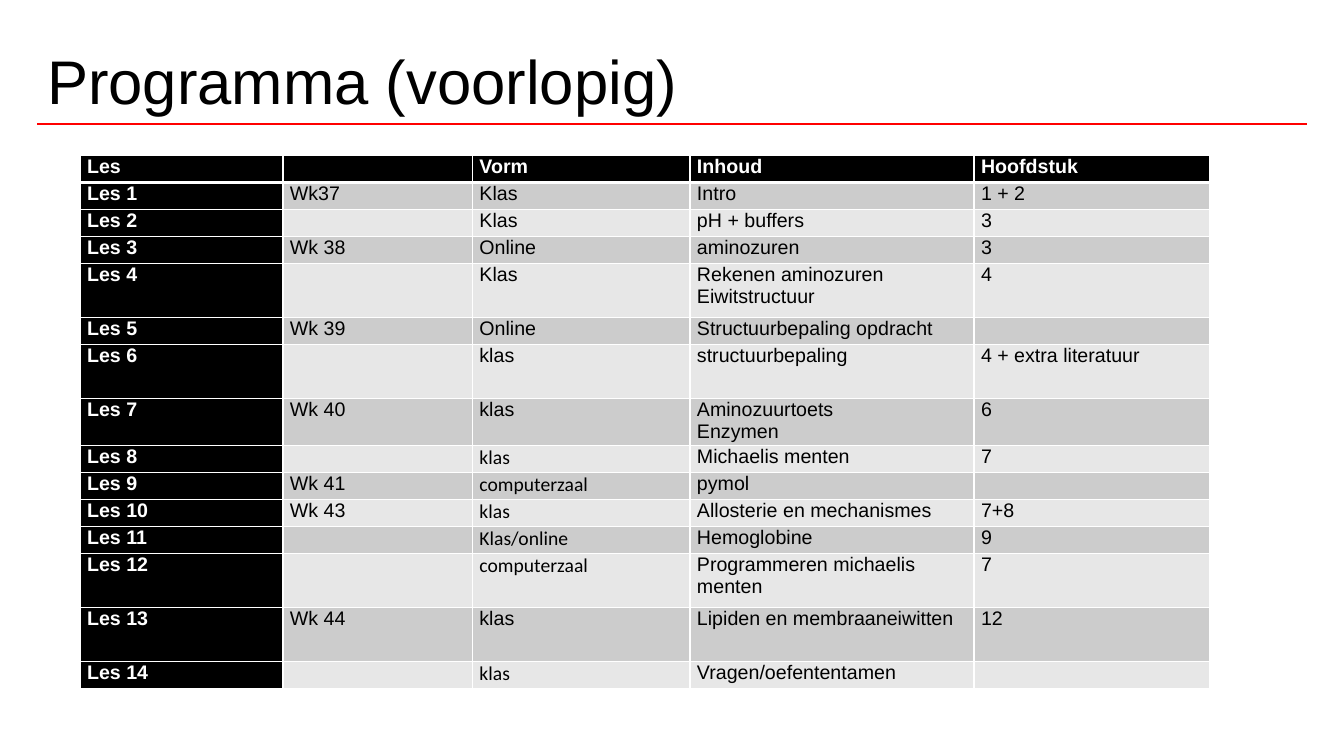
from dataclasses import dataclass

from lxml.etree import SubElement
from pptx import Presentation
from pptx.dml.color import RGBColor as Color
from pptx.enum.shapes import MSO_CONNECTOR as Connector
from pptx.enum.text import MSO_ANCHOR as Anchor
from pptx.oxml.ns import qn
from pptx.util import Pt


@dataclass(frozen=True)
class Theme:
    """Colours, fonts and sizes of the slide."""
    black: str = "000000"
    white: str = "FFFFFF"
    rule: str = "FF0000"
    bands: tuple = ("E7E7E7", "CCCCCC")
    font: str = "Arial"
    alternate_font: str = "Calibri"
    title_size: int = 44
    table_size: int = 14
    border: float = 1
    header_border: float = 3


THEME = Theme()
TITLE_BOX = (26.64, 25.92, 907.2, 62.64)
TABLE_BOX = (57.2, 111, 807.1, 369)
COLUMNS = (144.9, 135.4, 155.4, 202.9, 168.5)
ROW_HEIGHT = 19.3
TALL_LESSONS = {4, 6, 12, 13}
ALTERNATE_FONT_LESSONS = {8, 9, 10, 11, 12, 14}
HEADER = ("Les", "", "Vorm", "Inhoud", "Hoofdstuk")
LESSONS = (
    ("Wk37", "Klas", "Intro", "1 + 2"),
    ("", "Klas", "pH + buffers", "3"),
    ("Wk 38", "Online", "aminozuren", "3"),
    ("", "Klas", "Rekenen aminozuren\nEiwitstructuur", "4"),
    ("Wk 39", "Online", "Structuurbepaling opdracht", ""),
    ("", "klas", "structuurbepaling", "4 + extra literatuur"),
    ("Wk 40", "klas", "Aminozuurtoets\nEnzymen", "6"),
    ("", "klas", "Michaelis menten", "7"),
    ("Wk 41", "computerzaal", "pymol", ""),
    ("Wk 43", "klas", "Allosterie en mechanismes", "7+8"),
    ("", "Klas/online", "Hemoglobine", "9"),
    ("", "computerzaal", "Programmeren michaelis menten", "7"),
    ("Wk 44", "klas", "Lipiden en membraaneiwitten", "12"),
    ("", "klas", "Vragen/oefententamen", ""),
)


def style_text(frame, size, color, font=THEME.font, bold=False):
    """Format every run of a text frame, and size its empty paragraphs."""
    for para in frame.paragraphs:
        for span in para.runs:
            span.font.size = Pt(size)
            span.font.name = font
            span.font.bold = bold
            span.font.color.rgb = Color.from_string(color)
        if not para.runs:
            SubElement(para._p, qn("a:endParaRPr"), sz=str(size * 100))


def set_borders(cell, top, bottom):
    """Draw the four white borders of a cell."""
    properties = cell._tc.get_or_add_tcPr()
    widths = {"L": THEME.border, "R": THEME.border, "T": top, "B": bottom}
    for side, width in widths.items():
        line = SubElement(properties, qn(f"a:ln{side}"), w=str(Pt(width)))
        fill = SubElement(line, qn("a:solidFill"))
        SubElement(fill, qn("a:srgbClr"), val=THEME.white)


def add_title(page, box, text):
    """Place the title with a red rule along the bottom of its box."""
    left, top, width, height = box
    rule = page.shapes.add_connector(
        Connector.STRAIGHT, Pt(left), Pt(top + height),
        Pt(left + width), Pt(top + height))
    rule.line.color.rgb = Color.from_string(THEME.rule)
    rule.line.width = Pt(1.5)
    SubElement(rule._element.spPr, qn("a:effectLst"))
    frame = page.shapes.add_textbox(*map(Pt, box)).text_frame
    frame.word_wrap = True
    frame.vertical_anchor = Anchor.MIDDLE
    frame.text = text
    style_text(frame, THEME.title_size, THEME.black)


def fill_cell(cell, text, row, column):
    """Write and style one cell according to its row and column."""
    dark = row == 0 or column == 0
    alternate = column == 2 and row in ALTERNATE_FONT_LESSONS
    set_borders(cell, THEME.header_border if row == 1 else THEME.border,
                THEME.header_border if row == 0 else THEME.border)
    cell.fill.solid()
    cell.fill.fore_color.rgb = Color.from_string(
        THEME.black if dark else THEME.bands[row % 2])
    cell.margin_left = cell.margin_right = Pt(5)
    cell.margin_top = cell.margin_bottom = Pt(0)
    cell.text_frame.text = text
    style_text(cell.text_frame, THEME.table_size,
               THEME.white if dark else THEME.black,
               THEME.alternate_font if alternate else THEME.font, dark)


def add_programme(page, box):
    """Place the table of lessons in its box."""
    rows = [HEADER] + [(f"Les {number}", *lesson)
                       for number, lesson in enumerate(LESSONS, 1)]
    table = page.shapes.add_table(len(rows), len(HEADER), *map(Pt, box)).table
    for column, width in zip(table.columns, COLUMNS):
        column.width = Pt(width)
    for row, texts in enumerate(rows):
        lines = 2 if row in TALL_LESSONS else 1
        table.rows[row].height = Pt(ROW_HEIGHT * lines)
        for column, text in enumerate(texts):
            fill_cell(table.cell(row, column), text, row, column)


def main():
    """Build and save the slide."""
    deck = Presentation()
    deck.slide_width, deck.slide_height = Pt(960), Pt(540)
    page = deck.slides.add_slide(deck.slide_layouts[6])
    add_title(page, TITLE_BOX, "Programma (voorlopig)")
    add_programme(page, TABLE_BOX)
    deck.save("out.pptx")


if __name__ == "__main__":
    main()
